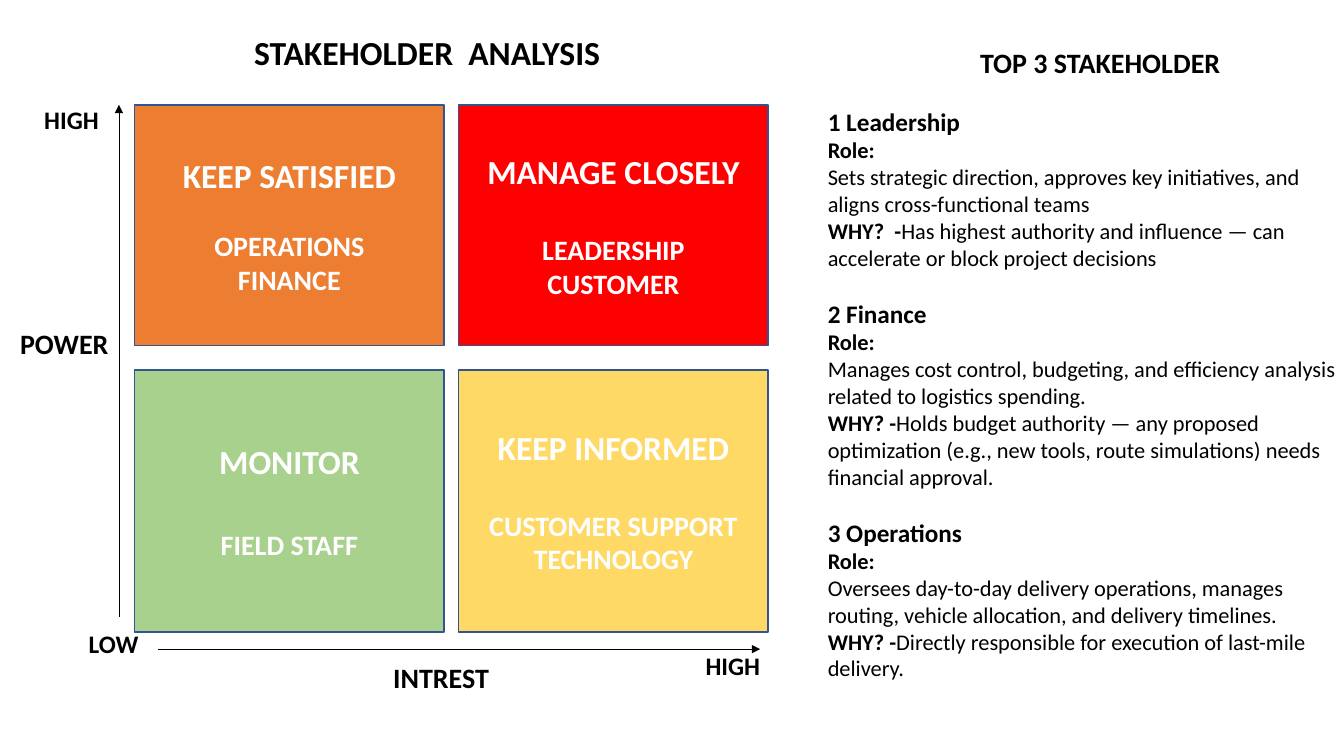
from dataclasses import dataclass

from lxml.etree import SubElement
from pptx import Presentation
from pptx.dml.color import RGBColor
from pptx.enum.shapes import MSO_CONNECTOR, MSO_SHAPE
from pptx.enum.text import MSO_ANCHOR, MSO_AUTO_SIZE, PP_ALIGN
from pptx.oxml.ns import qn
from pptx.slide import Slide
from pptx.text.text import TextFrame, _Paragraph
from pptx.util import Emu, Inches, Pt

BLACK = RGBColor(0x00, 0x00, 0x00)
WHITE = RGBColor(0xFF, 0xFF, 0xFF)
BORDER = RGBColor(0x32, 0x54, 0x91)
ORANGE = RGBColor(0xED, 0x7D, 0x31)
RED = RGBColor(0xFF, 0x00, 0x00)
GREEN = RGBColor(0xA9, 0xD1, 0x8E)
YELLOW = RGBColor(0xFF, 0xD9, 0x66)

WIDTH, HEIGHT = Inches(13.33), Inches(7.5)
FONT = "Calibri"
MATRIX_LEFT, BOX_WIDTH, BOX_PITCH = 10.02, 23.03, 24.11
BAND_TOPS, BAND_HEIGHTS = (13.87, 48.93), (31.87, 34.67)


@dataclass(frozen=True)
class Area:
    """A rectangle on a grid of 100 columns by 100 rows."""
    column: float
    row: float
    columns: float
    rows: float


@dataclass(frozen=True)
class Quadrant:
    strategy: str
    groups: tuple[str, ...]
    color: RGBColor
    side: int
    band: int
    gap: float = 29.3


@dataclass(frozen=True)
class Label:
    text: str
    size: int
    area: Area


@dataclass(frozen=True)
class Axis:
    start: tuple[float, float]
    end: tuple[float, float]


@dataclass(frozen=True)
class Stakeholder:
    name: str
    role: str
    why: str
    reason: str


QUADRANTS = (
    Quadrant("KEEP SATISFIED", ("OPERATIONS", "FINANCE"), ORANGE, 0, 0, 24.4),
    Quadrant("MANAGE CLOSELY", ("LEADERSHIP", "CUSTOMER"), RED, 1, 0),
    Quadrant("KEEP INFORMED", ("CUSTOMER SUPPORT", "TECHNOLOGY"), YELLOW, 1, 1),
    Quadrant("MONITOR", ("FIELD STAFF",), GREEN, 0, 1, 33),
)
AXES = (
    Axis((11.78, 85.87), (56.56, 85.87)),
    Axis((8.85, 81.6), (8.85, 13.87)),
)
LABELS = (
    Label("HIGH", 18, Area(2.55, 13.2, 7.28, 5.33)),
    Label("HIGH", 18, Area(51.76, 85.33, 8.18, 5.33)),
    Label("LOW", 18, Area(5.85, 82.4, 6.3, 5.33)),
    Label("POWER", 20, Area(0.75, 42.53, 11.03, 5.87)),
    Label("INTREST", 20, Area(28.51, 86.67, 11.03, 5.87)),
)
STAKEHOLDERS = (
    Stakeholder(
        "1 Leadership",
        "Sets strategic direction, approves key initiatives, and aligns cross-functional teams",
        "WHY?  -",
        "Has highest authority and influence — can accelerate or block project decisions"),
    Stakeholder(
        "2 Finance",
        "Manages cost control, budgeting, and efficiency analysis related to logistics spending.",
        "WHY? -",
        "Holds budget authority — any proposed optimization (e.g., new tools, "
        "route simulations) needs financial approval."),
    Stakeholder(
        "3 Operations",
        "Oversees day-to-day delivery operations, manages routing, vehicle allocation, "
        "and delivery timelines.",
        "WHY? -",
        "Directly responsible for execution of last-mile delivery."),
)


def across(columns: float) -> Emu:
    return Emu(round(WIDTH * columns / 100))


def down(rows: float) -> Emu:
    return Emu(round(HEIGHT * rows / 100))


def bounds(area: Area) -> tuple[Emu, Emu, Emu, Emu]:
    return across(area.column), down(area.row), across(area.columns), down(area.rows)


def style(paragraph: _Paragraph, size: int, color: RGBColor = BLACK,
          bold: bool | None = True, before: float = 0) -> None:
    font = paragraph.font
    font.name, font.size, font.bold = FONT, Pt(size), bold
    font.color.rgb = color
    paragraph.space_before = Pt(before)


def next_paragraph(frame: TextFrame) -> _Paragraph:
    """Return the empty first paragraph, or else a new one."""
    first = frame.paragraphs[0]
    return frame.add_paragraph() if first.runs else first


def draw_quadrant(slide: Slide, quadrant: Quadrant) -> None:
    area = Area(MATRIX_LEFT + quadrant.side * BOX_PITCH, BAND_TOPS[quadrant.band],
                BOX_WIDTH, BAND_HEIGHTS[quadrant.band])
    box = slide.shapes.add_shape(MSO_SHAPE.RECTANGLE, *bounds(area))
    box.shadow.inherit = False
    box.fill.solid()
    box.fill.fore_color.rgb = quadrant.color
    box.line.color.rgb = BORDER
    box.line.width = Pt(1)
    box.text_frame.vertical_anchor = MSO_ANCHOR.MIDDLE
    for index, words in enumerate((quadrant.strategy, *quadrant.groups)):
        paragraph = next_paragraph(box.text_frame)
        paragraph.add_run().text = words
        paragraph.alignment = PP_ALIGN.CENTER
        style(paragraph, 20 if index else 24, WHITE,
              before=quadrant.gap if index == 1 else 0)


def draw_axis(slide: Slide, axis: Axis) -> None:
    (x1, y1), (x2, y2) = axis.start, axis.end
    arrow = slide.shapes.add_connector(
        MSO_CONNECTOR.STRAIGHT, across(x1), down(y1), across(x2), down(y2))
    arrow.line.color.rgb = BLACK
    arrow.line.width = Pt(0.5)
    SubElement(arrow.line._get_or_add_ln(), qn("a:tailEnd"), type="triangle")
    SubElement(arrow._element.spPr, qn("a:effectLst"))


def draw_label(slide: Slide, label: Label) -> None:
    frame = slide.shapes.add_textbox(*bounds(label.area)).text_frame
    frame.word_wrap = True
    frame.text = label.text
    style(frame.paragraphs[0], label.size)


def place(placeholder, area: Area) -> TextFrame:
    """Move a placeholder and return its text frame, anchored at the top."""
    placeholder.left, placeholder.top, placeholder.width, placeholder.height = bounds(area)
    frame = placeholder.text_frame
    frame.word_wrap = True
    frame.auto_size = MSO_AUTO_SIZE.NONE
    frame.vertical_anchor = MSO_ANCHOR.TOP
    return frame


def add_line(frame: TextFrame, lead: str, size: int, before: float = 0, detail: str = "",
             broken: bool = False, margin: float = 0) -> None:
    """Add an unbulleted paragraph: a bold lead, then an optional plain detail."""
    paragraph = next_paragraph(frame)
    run = paragraph.add_run()
    run.text = lead
    if detail:
        run.font.bold = True
        if broken:
            paragraph.add_line_break()
        paragraph.add_run().text = detail
    style(paragraph, size, bold=not detail, before=before)
    properties = paragraph._p.get_or_add_pPr()
    properties.set("marL", str(across(margin)))
    properties.set("indent", "0")
    properties.insert_element_before(
        properties.makeelement(qn("a:buNone")), "a:tabLst", "a:defRPr", "a:extLst")


def main() -> None:
    presentation = Presentation()
    presentation.slide_width, presentation.slide_height = WIDTH, HEIGHT
    slide = presentation.slides.add_slide(presentation.slide_layouts[1])

    heading = place(slide.shapes.title, Area(18.15, 3.6, 29.78, 6.67))
    heading.text = "STAKEHOLDER  ANALYSIS"
    heading.paragraphs[0].alignment = PP_ALIGN.LEFT
    style(heading.paragraphs[0], 24)

    ranking = place(slide.placeholders[1], Area(60.84, 5.33, 39.38, 86.13))
    add_line(ranking, "TOP 3 STAKEHOLDER", 20, margin=11.33)
    for person in STAKEHOLDERS:
        add_line(ranking, person.name, 18, before=19.5)
        add_line(ranking, "Role:", 16, detail=person.role, broken=True)
        add_line(ranking, person.why, 16, detail=person.reason)

    for quadrant in QUADRANTS:
        draw_quadrant(slide, quadrant)
    for axis in AXES:
        draw_axis(slide, axis)
    for label in LABELS:
        draw_label(slide, label)
    presentation.save("out.pptx")


if __name__ == "__main__":
    main()
